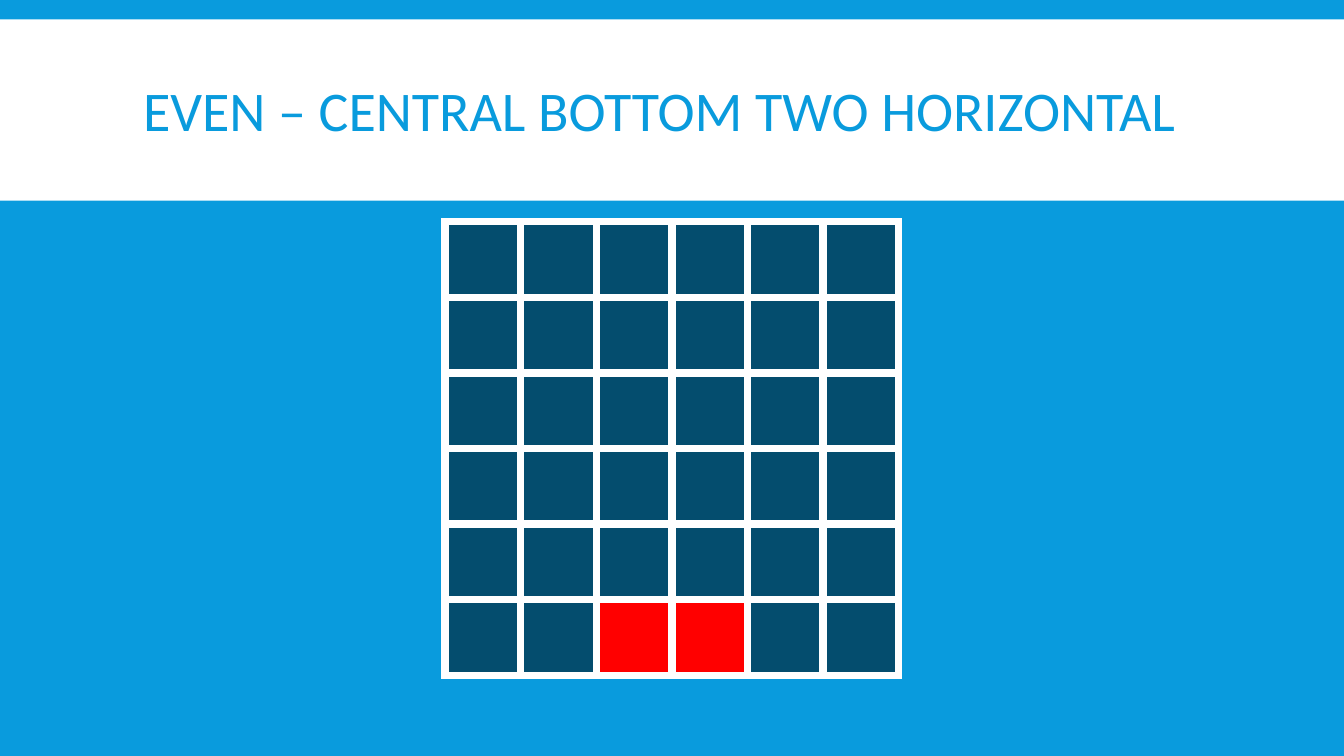
from lxml.etree import SubElement
from pptx import Presentation
from pptx.dml.color import RGBColor
from pptx.enum.shapes import MSO_SHAPE
from pptx.enum.text import MSO_ANCHOR, MSO_AUTO_SIZE, PP_ALIGN
from pptx.oxml.ns import qn
from pptx.util import Pt

COLORS = {"sky": "099BDD", "white": "FFFFFF", "navy": "044D6E", "red": "FF0000"}
GRID_SIZE = 6
CELL_SIDE = 54
MARKED_CELLS = {(GRID_SIZE - 1, GRID_SIZE // 2 - 1), (GRID_SIZE - 1, GRID_SIZE // 2)}


class SlideBuilder:
    font_name = "Calibri"
    title_size = 40
    border_width = 6

    def __init__(self, slide):
        self.slide = slide

    def paint(self, fill, color):
        fill.solid()
        fill.fore_color.rgb = RGBColor.from_string(COLORS[color])

    def background(self, color):
        self.paint(self.slide.background.fill, color)

    def band(self, left, top, width, height, color):
        band = self.slide.shapes.add_shape(
            MSO_SHAPE.RECTANGLE, Pt(left), Pt(top), Pt(width), Pt(height))
        band.shadow.inherit = False
        self.paint(band.fill, color)
        band.line.fill.background()
        self.slide.shapes.element.insert(2, band.element)

    def title(self, text, left, top, width, height, color):
        title = self.slide.shapes.title
        title.left, title.top = Pt(left), Pt(top)
        title.width, title.height = Pt(width), Pt(height)
        frame = title.text_frame
        frame.word_wrap = True
        frame.auto_size = MSO_AUTO_SIZE.NONE
        frame.vertical_anchor = MSO_ANCHOR.MIDDLE
        paragraph = frame.paragraphs[0]
        paragraph.alignment = PP_ALIGN.LEFT
        paragraph.line_spacing = 0.85
        run = paragraph.add_run()
        run.text = text
        run.font.name = self.font_name
        run.font.size = Pt(self.title_size)
        run.font.color.rgb = RGBColor.from_string(COLORS[color])

    def border(self, cell, color):
        properties = cell._tc.get_or_add_tcPr()
        for side in ("a:lnL", "a:lnR", "a:lnT", "a:lnB"):
            line = SubElement(properties, qn(side), w=str(Pt(self.border_width)))
            fill = SubElement(line, qn("a:solidFill"))
            SubElement(fill, qn("a:srgbClr"), val=COLORS[color])

    def board(self, left, top, count, side, marked):
        board = self.slide.shapes.add_table(
            count, count, Pt(left), Pt(top), Pt(count * side), Pt(count * side)).table
        board.first_row = False
        board.horz_banding = False
        for index in range(count):
            board.rows[index].height = Pt(side)
            board.columns[index].width = Pt(side)
        for row in range(count):
            for column in range(count):
                cell = board.cell(row, column)
                self.border(cell, "white")
                self.paint(cell.fill, "red" if (row, column) in marked else "navy")


def main():
    deck = Presentation()
    deck.slide_width, deck.slide_height = Pt(960), Pt(540)
    builder = SlideBuilder(deck.slides.add_slide(deck.slide_layouts[5]))
    builder.background("sky")
    builder.band(0, 13.8, 960, 129.6, "white")
    builder.title("EVEN – CENTRAL BOTTOM TWO HORIZONTAL", 95, 22.3, 770.4, 118.8, "sky")
    builder.board(318, 158.4, GRID_SIZE, CELL_SIDE, MARKED_CELLS)
    deck.save("out.pptx")


if __name__ == "__main__":
    main()
